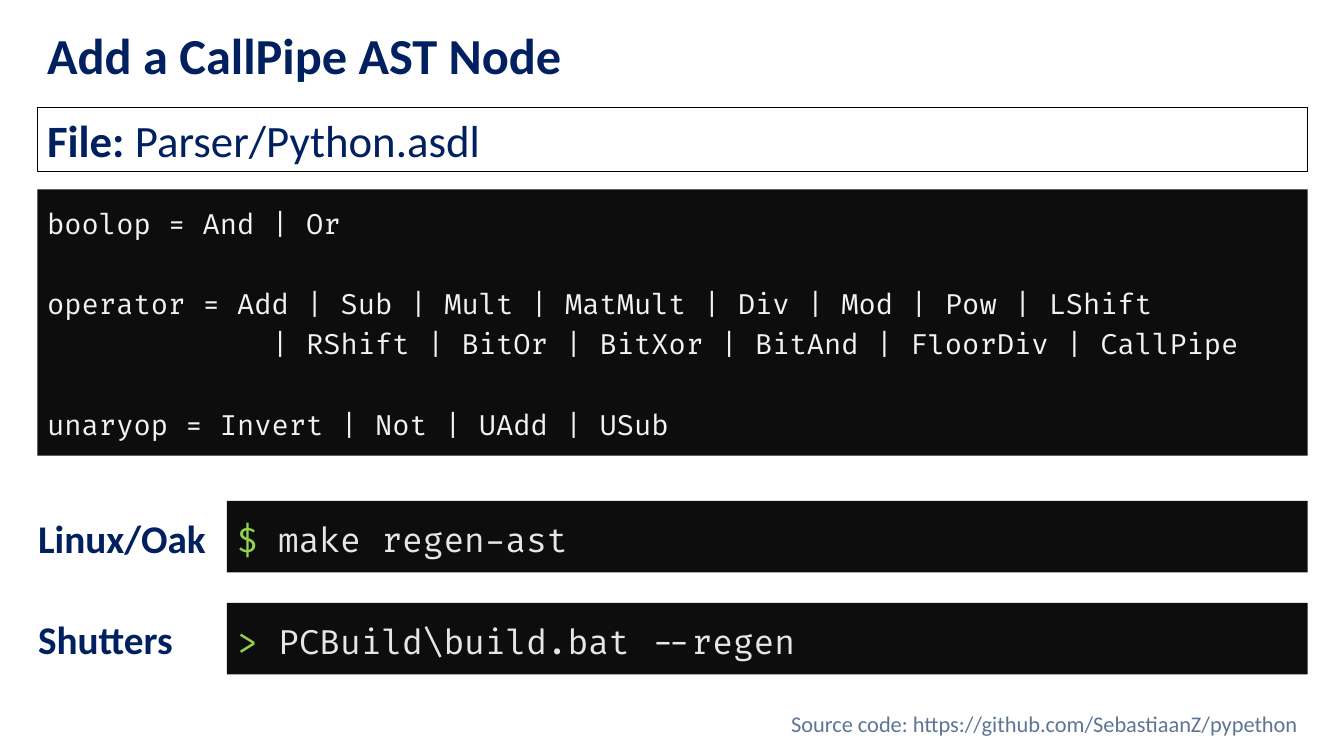
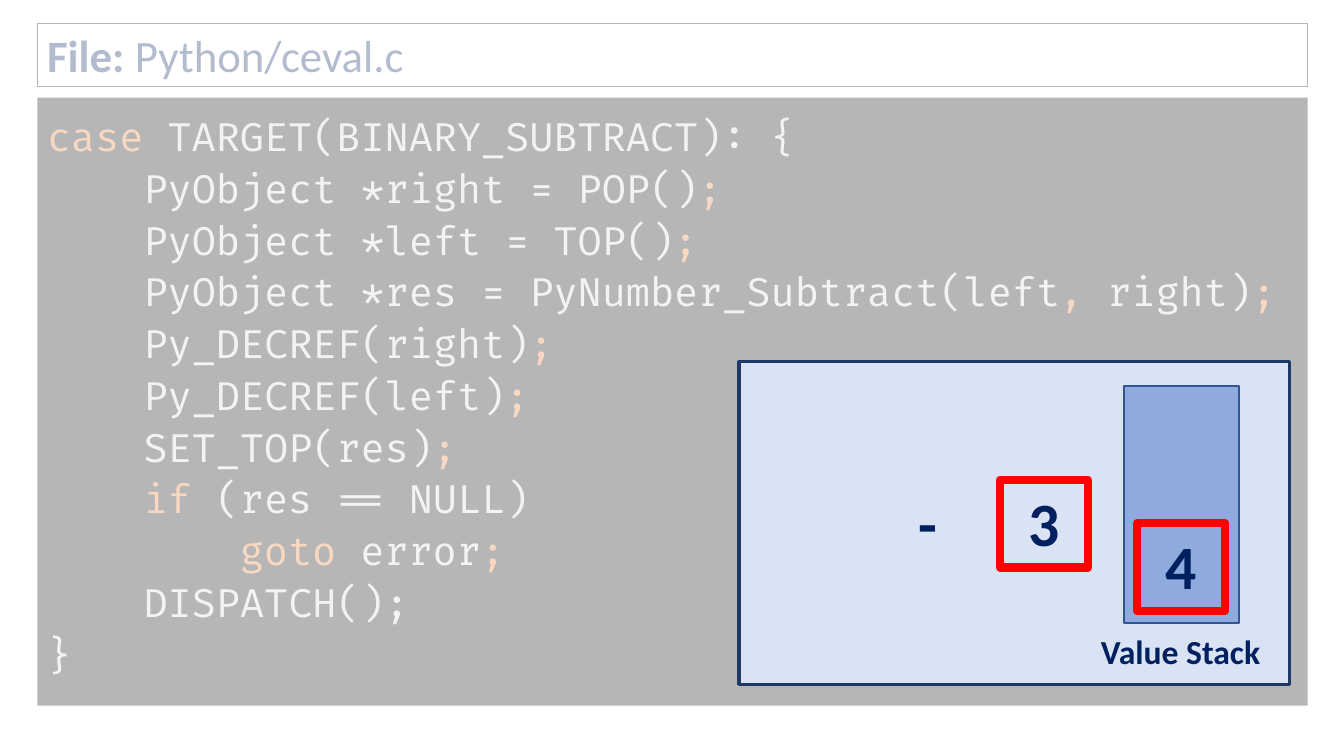
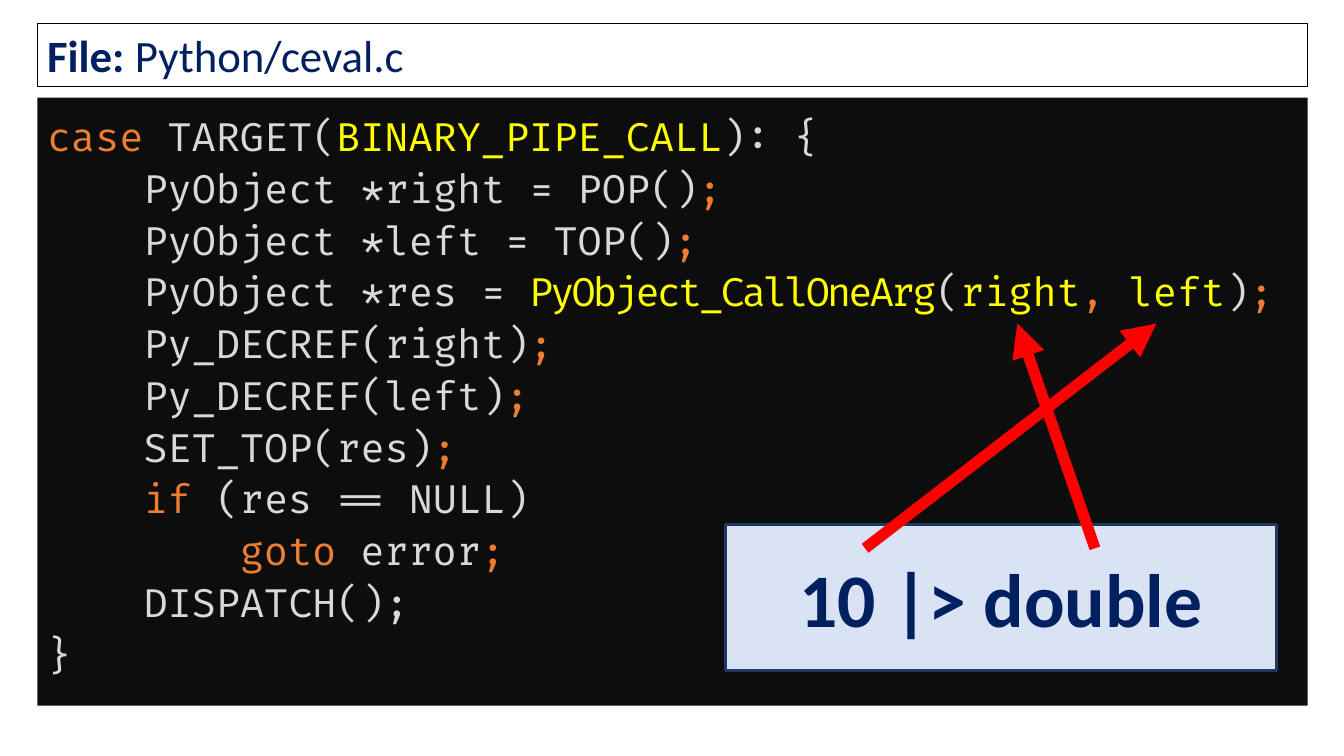
from lxml import etree
from pptx import Presentation
from pptx import util as u
from pptx.dml.color import RGBColor
from pptx.enum import shapes, text
from pptx.oxml import ns

NAVY, BLACK, WHITE, RED = "002060", "000000", "FFFFFF", "FF0000"
CODE_BACK, CODE_TEXT, KEYWORD, HIGHLIGHT = "0D0D0D", "D9D9D9", "ED7D31", "FFFF00"
PANEL, PANEL_LINE, STACK, STACK_LINE = "DAE3F3", "203864", "8FAADC", "325491"
PROMPT, COMMAND, LISTING, SOURCE = "92D050", "E7E6E6", "F2F2F2", "5E7594"
BODY_FONT, CODE_FONT = "Calibri", "Fira Code"
LEFT, WIDTH = 0.37, 12.6
TOP, MIDDLE = text.MSO_ANCHOR.TOP, text.MSO_ANCHOR.MIDDLE
CENTER, RIGHT = text.PP_ALIGN.CENTER, text.PP_ALIGN.RIGHT


def color(value):
    return RGBColor.from_string(value)


def add_box(slide, left, top, width, height, fill=None, line=None, line_width=1):
    shape = slide.shapes.add_shape(
        shapes.MSO_SHAPE.RECTANGLE,
        u.Inches(left), u.Inches(top), u.Inches(width), u.Inches(height))
    shape.shadow.inherit = False
    if fill:
        shape.fill.solid()
        shape.fill.fore_color.rgb = color(fill)
    else:
        shape.fill.background()
    if line:
        shape.line.color.rgb = color(line)
        shape.line.width = u.Pt(line_width)
    else:
        shape.line.fill.background()
    return shape


def add_text_box(slide, left, top, width, height):
    return slide.shapes.add_textbox(
        u.Inches(left), u.Inches(top), u.Inches(width), u.Inches(height))


def set_frame(shape, anchor=TOP, wrap=True, inset=None):
    frame = shape.text_frame
    frame.word_wrap = wrap
    frame.vertical_anchor = anchor
    frame.auto_size = text.MSO_AUTO_SIZE.NONE
    if inset is not None:
        frame.margin_left = frame.margin_right = u.Inches(inset)
        frame.margin_top = frame.margin_bottom = u.Inches(inset)
    return frame


def add_run(paragraph, content, size, value, bold=False, font=BODY_FONT, spacing=0):
    run = paragraph.add_run()
    run.text = content
    run.font.name = font
    run.font.size = u.Pt(size)
    run.font.bold = bold
    run.font.color.rgb = color(value)
    if spacing:
        run._r.get_or_add_rPr().set("spc", str(spacing * 100))


def write(shape, content, size, value=NAVY, bold=True, align=text.PP_ALIGN.LEFT, **frame):
    """Put one paragraph of a single run into a shape."""
    paragraph = set_frame(shape, **frame).paragraphs[0]
    paragraph.alignment = align
    add_run(paragraph, content, size, value, bold)
    return paragraph


def add_title(slide, content):
    box = add_text_box(slide, LEFT, 0.26, WIDTH, 0.63)
    write(box, content, 36, anchor=MIDDLE).line_spacing = 0.9


def add_file_bar(slide, top, file_name):
    bar = add_box(slide, LEFT, top, WIDTH, 0.63, line=BLACK, line_width=0.75)
    paragraph = write(bar, "File: ", 32)
    add_run(paragraph, file_name, 32, NAVY)


def add_code(slide, left, top, width, height, lines, size, line_spacing, gaps=()):
    """Each line is a list of (text, colour[, spacing]); gaps are lines set apart."""
    box = add_box(slide, left, top, width, height, fill=CODE_BACK)
    frame = set_frame(box, inset=0.1)
    for index, line in enumerate(lines):
        paragraph = frame.add_paragraph() if index else frame.paragraphs[0]
        paragraph.alignment = text.PP_ALIGN.LEFT
        paragraph.line_spacing = line_spacing
        if index in gaps:
            paragraph.space_before = u.Pt(28.6)
        for content, value, *spacing in line:
            add_run(paragraph, content, size, value, False, CODE_FONT, *spacing)


def add_label(slide, left, top, width, height, content, size):
    write(add_text_box(slide, left, top, width, height), content, size)


def add_command(slide, top, system, prompt, command):
    line = [(prompt + " ", PROMPT), (command, COMMAND)]
    add_code(slide, 2.25, top, 10.72, 0.71, [line], 24, 1.2)
    add_label(slide, 0.28, top + 0.08, 1.94, 0.57, system, 28)


def add_value(slide, left, top, content, line=RED):
    box = add_box(slide, left, top, 0.87, 0.87, line=line, line_width=6)
    write(box, content, 44, align=CENTER, wrap=False)


def add_panel(slide, left, top, height):
    return add_box(slide, left, top, 5.46, height, PANEL, PANEL_LINE, 2.25)


def add_arrow(slide, start, end):
    arrow = slide.shapes.add_connector(
        shapes.MSO_CONNECTOR.STRAIGHT, *map(u.Inches, start + end))
    arrow.line.color.rgb = color(RED)
    arrow.line.width = u.Pt(8)
    etree.SubElement(arrow.line._get_or_add_ln(), ns.qn("a:tailEnd"), type="triangle")
    etree.SubElement(arrow._element.spPr, ns.qn("a:effectLst"))


def add_veil(slide):
    """Fade everything drawn so far."""
    veil = add_box(slide, 0, 0, 13.33, 7.5, fill=WHITE)
    fill = veil._element.spPr.find(ns.qn("a:solidFill"))
    etree.SubElement(fill[0], ns.qn("a:alpha"), val="70000")


def statement(content):
    return [("    " + content, CODE_TEXT), (";", KEYWORD)]


def add_opcode(slide, target, call):
    """Show the ceval.c case of one opcode."""
    lines = [
        [("case ", KEYWORD), ("TARGET(", CODE_TEXT), target, ("): {", CODE_TEXT)],
        statement("PyObject *right = POP()"),
        statement("PyObject *left = TOP()"),
        [("    PyObject *res = ", CODE_TEXT), *call, (")", CODE_TEXT), (";", KEYWORD)],
        statement("Py_DECREF(right)"),
        statement("Py_DECREF(left)"),
        statement("SET_TOP(res)"),
        [("    ", CODE_TEXT), ("if", KEYWORD), (" (res == NULL)", CODE_TEXT)],
        [("        ", CODE_TEXT), ("goto", KEYWORD), (" error", CODE_TEXT), (";", KEYWORD)],
        [("    DISPATCH();", CODE_TEXT)],
        [("}", CODE_TEXT)],
    ]
    add_code(slide, LEFT, 0.97, WIDTH, 6.03, lines, 28, 1.1)
    add_file_bar(slide, 0.23, "Python/ceval.c")


def build_ast_slide(slide):
    grammar = [
        "boolop = And | Or",
        "operator = Add | Sub | Mult | MatMult | Div | Mod | Pow | LShift",
        "             | RShift | BitOr | BitXor | BitAnd | FloorDiv | CallPipe",
        "unaryop = Invert | Not | UAdd | USub",
    ]
    add_code(slide, LEFT, 1.88, WIDTH, 2.64,
             [[(line, LISTING)] for line in grammar], 20, 1.2, gaps=(1, 3))
    write(add_text_box(slide, LEFT, 7, WIDTH, 0.4),
          "Source code: https://github.com/SebastiaanZ/pypethon",
          16, SOURCE, bold=False, align=RIGHT)
    add_file_bar(slide, 1.07, "Parser/Python.asdl")
    add_title(slide, "Add a CallPipe AST Node")
    add_command(slide, 4.97, "Linux/Oak", "$", "make regen-ast")
    add_command(slide, 5.98, "Shutters", ">", "PCBuild\\build.bat --regen")


def build_subtract_slide(slide):
    add_opcode(slide, ("BINARY_SUBTRACT", CODE_TEXT),
               [("PyNumber_Subtract(left", CODE_TEXT), (",", KEYWORD), (" right", CODE_TEXT)])
    add_veil(slide)
    add_panel(slide, 7.33, 3.59, 3.2)
    add_box(slide, 11.15, 3.83, 1.14, 2.35, STACK, STACK_LINE)
    add_label(slide, 10.82, 6.21, 1.9, 0.5, "Value Stack", 24)
    add_value(slide, 11.28, 5.19, "4")
    add_value(slide, 8.77, 4.76, "-", line=None)
    add_value(slide, 9.92, 4.76, "3")


def build_pipe_slide(slide):
    add_opcode(slide, ("BINARY_PIPE_CALL", HIGHLIGHT),
               [("PyObject_CallOneArg", HIGHLIGHT, -2), ("(", CODE_TEXT),
                ("right", HIGHLIGHT), (", ", KEYWORD), ("left", HIGHLIGHT)])
    write(add_panel(slide, 7.2, 5.2, 1.45), "10 |> double", 54, align=CENTER, anchor=MIDDLE)
    add_arrow(slide, (8.58, 5.44), (11.47, 3.21))
    add_arrow(slide, (10.86, 5.44), (10.09, 3.21))


def main():
    presentation = Presentation()
    presentation.slide_width = u.Inches(13.33)
    presentation.slide_height = u.Inches(7.5)
    for build in (build_ast_slide, build_subtract_slide, build_pipe_slide):
        build(presentation.slides.add_slide(presentation.slide_layouts[6]))
    presentation.save("out.pptx")


if __name__ == "__main__":
    main()
